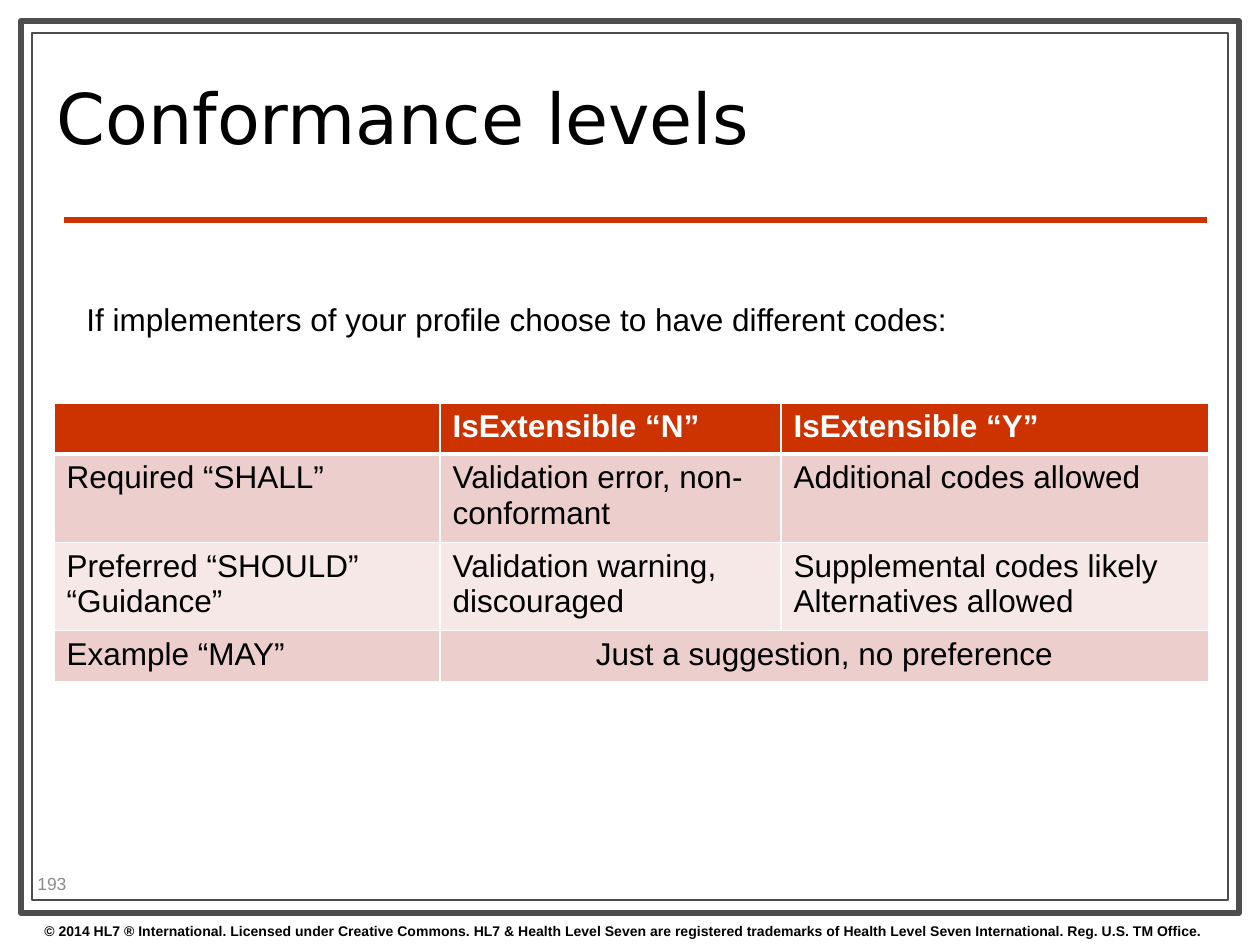
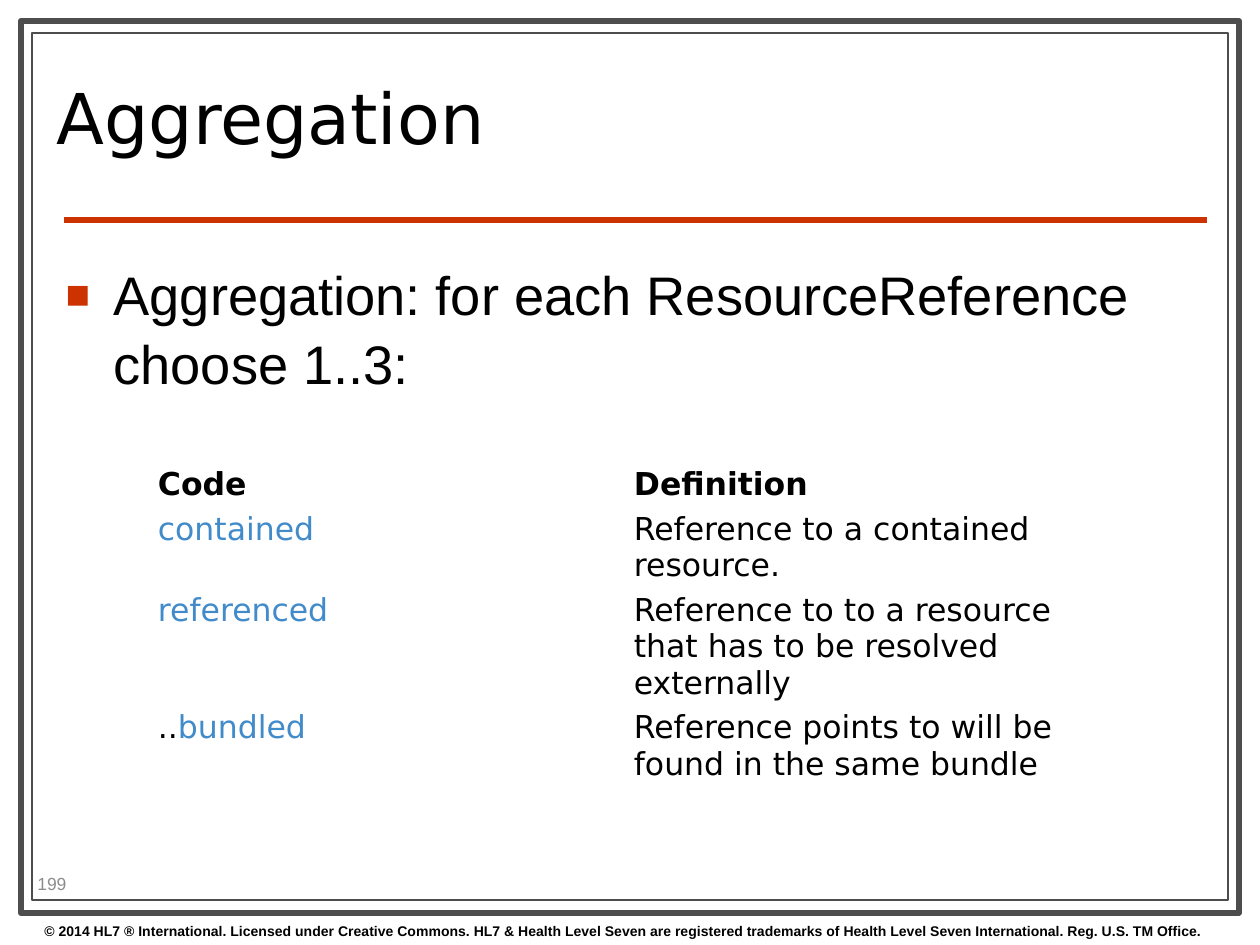
from lxml import etree
from pptx import Presentation
from pptx import util as u
from pptx.dml.color import RGBColor
from pptx.enum import shapes, text
from pptx.oxml.ns import qn

EMU_PER_PX = 914400 / 126

COLORS = {
    "paper": "FFFFFF",
    "ink": "000000",
    "frame": "4D4D4D",
    "accent": "CC3300",
    "band": "ECCECC",
    "light_band": "F6E8E7",
    "code": "428BCA",
    "number": "8C8C8C",
}
HEADING_FONT = "DejaVu Sans"
BODY_FONT = "Arial"
COPYRIGHT = (
    "© 2014 HL7 ® International. Licensed under Creative Commons. "
    "HL7 & Health Level Seven are registered trademarks of "
    "Health Level Seven International. Reg. U.S. TM Office."
)

TITLE = {"name": HEADING_FONT, "size": u.Pt(40)}
BULLET = {"name": BODY_FONT, "size": u.Pt(31)}
PLAIN = {"name": BODY_FONT, "size": u.Pt(18)}
HEADER = {**PLAIN, "bold": True}
CODE = {"name": HEADING_FONT, "size": u.Pt(18)}
CODE_HEADER = {**CODE, "bold": True}
FOOTER = {"name": BODY_FONT, "size": u.Pt(8), "bold": True}
NUMBER = {"name": BODY_FONT, "size": u.Pt(10)}

CONFORMANCE_ROWS = [
    ["", "IsExtensible “N”", "IsExtensible “Y”"],
    ["Required “SHALL”", "Validation error, non-conformant",
     "Additional codes allowed"],
    ["Preferred “SHOULD”\n“Guidance”", "Validation warning, discouraged",
     "Supplemental codes likely\nAlternatives allowed"],
    ["Example “MAY”", "Just a suggestion, no preference", ""],
]
# Each code is a prefix in ink and a name in the code colour.
AGGREGATION_ROWS = [
    ("", "contained", "Reference to a contained resource."),
    ("", "referenced",
     "Reference to to a resource that has to be resolved externally"),
    ("..", "bundled", "Reference points to will be found in the same bundle"),
]


def px(length):
    return u.Emu(round(length * EMU_PER_PX))


def rgb(color):
    return RGBColor.from_string(COLORS[color])


def set_attributes(target, values):
    for name, value in values.items():
        setattr(target, name, value)


def add_run(paragraph, words, font_format, color="ink"):
    if words:
        run = paragraph.add_run()
        run.text = words
        set_attributes(run.font, font_format)
        run.font.color.rgb = rgb(color)


def write(frame, words, font_format, color="ink"):
    """Write one paragraph for each line of words."""
    for index, line in enumerate(words.split("\n")):
        paragraph = frame.add_paragraph() if index else frame.paragraphs[0]
        add_run(paragraph, line, font_format, color)


def add_frame(slide, left, top, width, height, line_width):
    box = slide.shapes.add_shape(
        shapes.MSO_SHAPE.RECTANGLE, *map(px, (left, top, width, height)))
    box.shadow.inherit = False
    box.fill.solid()
    box.fill.fore_color.rgb = rgb("paper")
    box.line.color.rgb = rgb("frame")
    box.line.width = u.Pt(line_width)


def add_rule(slide, left, right, y):
    rule = slide.shapes.add_connector(
        shapes.MSO_CONNECTOR.STRAIGHT, px(left), px(y), px(right), px(y))
    rule.line.color.rgb = rgb("accent")
    rule.line.width = u.Pt(3)
    etree.SubElement(rule.element.find(qn("p:spPr")), qn("a:effectLst"))


def add_text(slide, box, words, font_format, color="ink", **frame_format):
    frame = slide.shapes.add_textbox(*map(px, box)).text_frame
    set_attributes(frame, {"word_wrap": True, **frame_format})
    write(frame, words, font_format, color)


def fill_placeholder(placeholder, box, words, font_format, anchor):
    """Place and fill a placeholder in front of the frames."""
    placeholder.element.getparent().append(placeholder.element)
    sides = ("left", "top", "width", "height")
    set_attributes(placeholder, dict(zip(sides, map(px, box))))
    frame = placeholder.text_frame
    set_attributes(frame, {"auto_size": text.MSO_AUTO_SIZE.NONE,
                           "word_wrap": True, "vertical_anchor": anchor})
    write(frame, words, font_format)
    paragraph = frame.paragraphs[0]
    paragraph.alignment = text.PP_ALIGN.LEFT
    paragraph.space_before = u.Pt(0)
    return paragraph


def add_square_bullet(paragraph, indent):
    properties = paragraph._p.get_or_add_pPr()
    properties.set("marL", str(px(indent)))
    properties.set("indent", str(-px(indent)))
    color = etree.SubElement(properties, qn("a:buClr"))
    etree.SubElement(color, qn("a:srgbClr"), val=COLORS["accent"])
    etree.SubElement(properties, qn("a:buSzPct"), val="75000")
    etree.SubElement(properties, qn("a:buFont"), typeface=BODY_FONT)
    etree.SubElement(properties, qn("a:buChar"), char="■")


def add_table(slide, left, top, column_widths, row_heights):
    table = slide.shapes.add_table(
        len(row_heights), len(column_widths), px(left), px(top),
        px(sum(column_widths)), px(sum(row_heights))).table
    table.first_row = table.horz_banding = False
    for column, width in zip(table.columns, column_widths):
        column.width = px(width)
    for row, height in zip(table.rows, row_heights):
        row.height = px(height)
    return table


def fill_cell(cell, color):
    cell.fill.solid()
    cell.fill.fore_color.rgb = rgb(color)


def set_borders(cell, bottom_width, top_width=1):
    properties = cell._tc.get_or_add_tcPr()
    widths = {"L": 1, "R": 1, "T": top_width, "B": bottom_width}
    for side, width in widths.items():
        line = etree.SubElement(
            properties, qn(f"a:ln{side}"), w=str(u.Pt(width)))
        fill = etree.SubElement(line, qn("a:solidFill"))
        etree.SubElement(fill, qn("a:srgbClr"), val=COLORS["paper"])


def add_slide(presentation, layout_name, title, number):
    """Add a slide with the shared frames, rule, title and footer."""
    layout = presentation.slide_layouts.get_by_name(layout_name)
    slide = presentation.slides.add_slide(layout)
    add_frame(slide, 21, 21, 1218, 892, 3.5)
    add_frame(slide, 32, 33, 1196, 867, 0.75)
    add_rule(slide, 64, 1207, 220)
    add_text(slide, (32, 916, 1260, 29), COPYRIGHT, FOOTER)
    heading = fill_placeholder(slide.shapes.title, (44, 45, 903, 159), title,
                               TITLE, text.MSO_ANCHOR.MIDDLE)
    heading.line_spacing = 0.8
    add_text(slide, (25, 868, 100, 30), number, NUMBER, "number",
             vertical_anchor=text.MSO_ANCHOR.MIDDLE)
    return slide


def add_conformance_table(slide):
    table = add_table(slide, 54, 403, (386, 341, 428), (51, 83, 83, 51))
    row_fills = ("accent", "band", "light_band", "band")
    for row_index, (words, fill) in enumerate(zip(CONFORMANCE_ROWS, row_fills)):
        is_header = row_index == 0
        for cell, cell_words in zip(table.rows[row_index].cells, words):
            set_borders(cell, 3 if is_header else 1, 3 if row_index == 1 else 1)
            fill_cell(cell, fill)
            write(cell.text_frame, cell_words, HEADER if is_header else PLAIN,
                  "paper" if is_header else "ink")
    suggestion = table.cell(3, 1)
    suggestion.merge(table.cell(3, 2))
    suggestion.text_frame.paragraphs[0].alignment = text.PP_ALIGN.CENTER


def add_aggregation_table(slide):
    table = add_table(slide, 154, 462, (476, 476), (45, 81, 117, 81))
    sides = ("left", "right", "top", "bottom")
    for cell in table.iter_cells():
        fill_cell(cell, "paper")
        set_attributes(cell, {f"margin_{side}": px(4) for side in sides})
    for column, heading in enumerate(("Code", "Definition")):
        write(table.cell(0, column).text_frame, heading, CODE_HEADER)
    for row, (prefix, code, definition) in enumerate(AGGREGATION_ROWS, 1):
        paragraph = table.cell(row, 0).text_frame.paragraphs[0]
        add_run(paragraph, prefix, CODE)
        add_run(paragraph, code, CODE, "code")
        write(table.cell(row, 1).text_frame, definition, CODE)


def main():
    presentation = Presentation()
    presentation.slide_width, presentation.slide_height = px(1260), px(945)

    conformance = add_slide(
        presentation, "Title Only", "Conformance levels", "193")
    add_conformance_table(conformance)
    add_text(conformance, (74, 294, 895, 50),
             "If implementers of your profile choose to have different codes:",
             PLAIN, word_wrap=False)

    aggregation = add_slide(
        presentation, "Title and Content", "Aggregation", "199")
    choice = fill_placeholder(
        aggregation.placeholders[1], (53, 252, 1155, 617),
        "Aggregation: for each ResourceReference choose 1..3:",
        BULLET, text.MSO_ANCHOR.TOP)
    choice.line_spacing = 1.05
    add_square_bullet(choice, 48)
    add_aggregation_table(aggregation)

    presentation.save("out.pptx")


if __name__ == "__main__":
    main()
